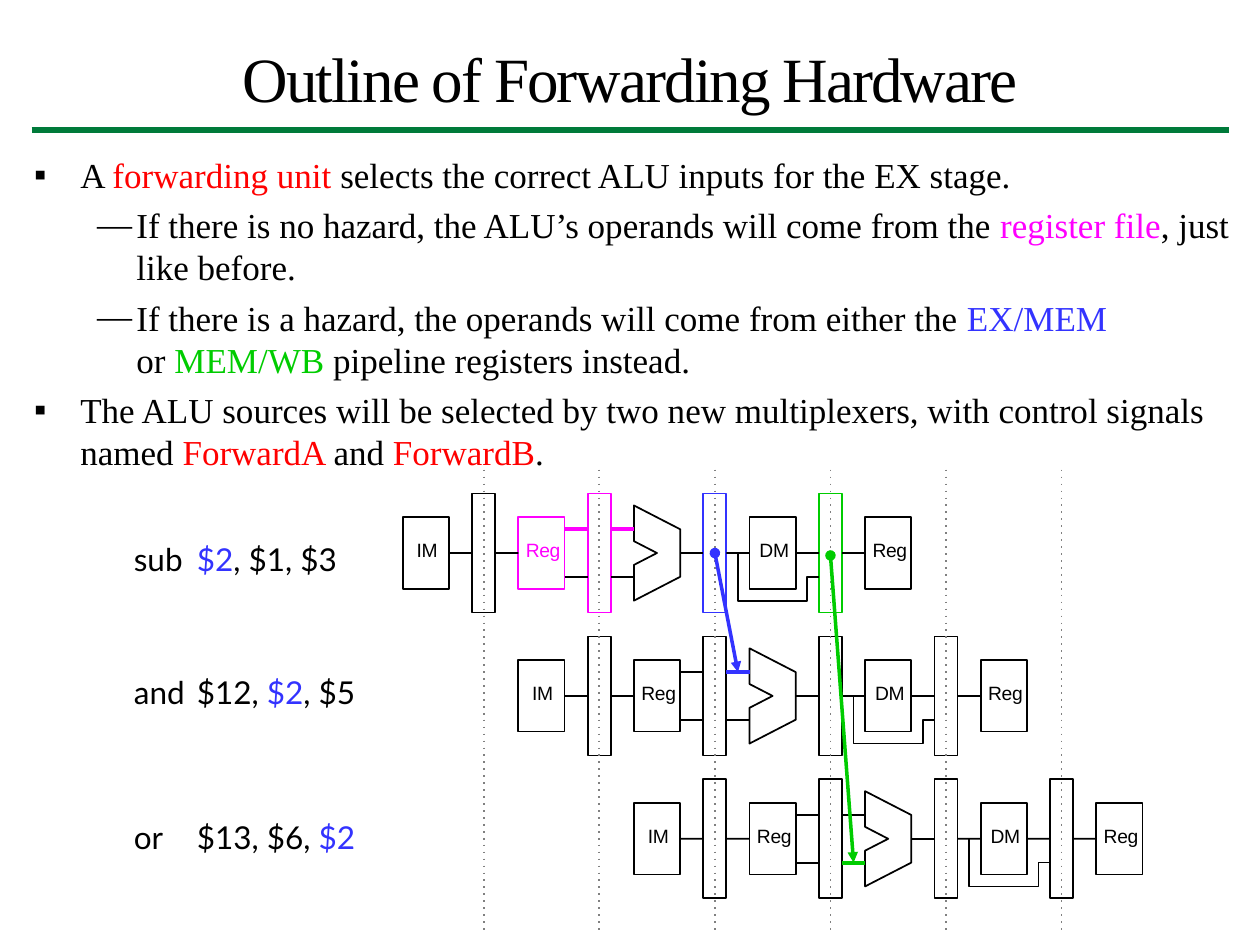
"""Build a slide on forwarding hardware in a pipelined processor."""
from lxml import etree
from pptx import Presentation
from pptx.dml.color import RGBColor
from pptx.enum.shapes import MSO_CONNECTOR, MSO_SHAPE
from pptx.enum.text import MSO_ANCHOR, PP_ALIGN
from pptx.oxml.ns import qn
from pptx.util import Cm, Pt

STRAIGHT = MSO_CONNECTOR.STRAIGHT
RECTANGLE = MSO_SHAPE.RECTANGLE
TOP = MSO_ANCHOR.TOP
LEFT, CENTER = PP_ALIGN.LEFT, PP_ALIGN.CENTER
LEFT_SIDE, RIGHT_SIDE = 1, 3

COLORS = {
    "black": "000000", "red": "FF0000", "magenta": "FF00FF", "blue": "3333FF",
    "green": "00CC00", "gray": "808080", "rule": "007A3A",
}
SERIF, SANS, CODE = "Times New Roman", "Arial", "Lato"

STEP_X, STEP_Y = 0.23 + 0.003, 0.24
ORIGIN_X, ORIGIN_Y = 8.12, 9.95
ROW_SHIFT_X, ROW_SHIFT_Y = 10, 12
THIN, THICK = 1, 2.25

STAGE_BOXES = [("IM", 0, 0.28), ("Reg", 10, 0.15), ("DM", 30, 0.2), ("Reg", 40, 0.15)]
REGISTER_COLUMNS = (6, 16, 26, 36)
ALU_OUTLINE = [(20, 1), (24, 3), (24, 7), (20, 9), (20, 6), (22, 5), (20, 4)]
MEMORY_BYPASS = [(29, 5), (29, 9), (35, 9), (35, 7), (36, 7)]
OPERAND_WIRES = [(14, 3), (14, 7), (18, 3), (18, 7)]

ROW_HIGHLIGHTS = [
    {"boxes": {10: "magenta"},
     "registers": {16: "magenta", 26: "blue", 36: "green"},
     "wires": {(14, 3): "magenta", (18, 3): "magenta"}},
    {"boxes": {}, "registers": {}, "wires": {(18, 3): "blue"}},
    {"boxes": {}, "registers": {}, "wires": {(18, 7): "green"}},
]

INSTRUCTIONS = [
    (10.82, [("sub\t", "black"), ("$2", "blue"), (", $1, $3", "black")]),
    (13.49, [("and\t$12, ", "black"), ("$2", "blue"), (", $5", "black")]),
    (16.43, [("or\t$13, $6, ", "black"), ("$2", "blue")]),
]

POINT = {"level": 0, "margin": 0.98, "hang": -0.93, "bullet": "▪", "before": 4.8}
DETAIL = {"level": 1, "margin": 2.11, "hang": -0.79, "bullet": "—", "before": 4.8}
CONTINUED = {"level": 0, "margin": 2.11, "hang": 0, "bullet": None, "before": 0}

EXPLANATION = [
    (POINT, [("A ", "black"), ("forwarding unit ", "red"),
             ("selects the correct ALU inputs for the EX stage.", "black")]),
    (DETAIL, [("If there is no hazard, the ALU’s operands will come from the ", "black"),
              ("register file", "magenta"), (", just like before.", "black")]),
    (DETAIL, [("If there is a hazard, the operands will come from either the ", "black"),
              ("EX/MEM", "blue")]),
    (CONTINUED, [("or ", "black"), ("MEM/WB ", "green"),
                 ("pipeline registers instead.", "black")]),
    (POINT, [("The ALU sources will be selected by two new multiplexers, "
              "with control signals named ", "black"),
             ("ForwardA ", "red"), ("and ", "black"), ("ForwardB", "red"),
             (".", "black")]),
]


def rgb(color):
    """Return the named colour."""
    return RGBColor.from_string(COLORS[color])


def grid_x(column):
    """Return the horizontal place of a datapath column."""
    return Cm(ORIGIN_X + column * STEP_X)


def grid_y(level):
    """Return the vertical place of a datapath level."""
    return Cm(ORIGIN_Y + level * STEP_Y)


def set_frame(frame, top=0, left=0):
    """Set the insets, wrapping and anchor of a text frame."""
    values = {"margin_left": Cm(left), "margin_right": 0, "margin_top": Cm(top),
              "margin_bottom": 0, "word_wrap": True, "vertical_anchor": TOP}
    for name, value in values.items():
        setattr(frame, name, value)


def write_runs(paragraph, pieces, font, size, spacing=0, align=LEFT):
    """Write coloured pieces of text into a paragraph."""
    paragraph.alignment = align
    for words, color in pieces:
        run = paragraph.add_run()
        run.text = words
        for name, value in {"name": font, "size": Pt(size)}.items():
            setattr(run.font, name, value)
        run.font.color.rgb = rgb(color)
        if spacing:
            run.font._element.set("spc", str(spacing))


def add_textbox(slide, left, top, width, height, inset_top, inset_left=0):
    """Add a text box and return its frame."""
    box = slide.shapes.add_textbox(Cm(left), Cm(top), Cm(width), Cm(height))
    set_frame(box.text_frame, inset_top, inset_left)
    return box.text_frame


def style_outline(shape, color, width=THIN):
    """Leave a shape unfilled, with a plain outline."""
    shape.shadow.inherit = False
    shape.fill.background()
    shape.line.color.rgb = rgb(color)
    shape.line.width = Pt(width)


def add_line(slide, start, end, color="black", width=THIN, ends=()):
    """Add a straight line, with optional dash and arrowhead elements."""
    line = slide.shapes.add_connector(STRAIGHT, *start, *end)
    line.line.color.rgb = rgb(color)
    line.line.width = Pt(width)
    properties = line._element.spPr
    for tag, attributes in ends:
        etree.SubElement(properties.find(qn("a:ln")), qn(tag), attributes)
    etree.SubElement(properties, qn("a:effectLst"))
    return line


def add_grid_line(slide, start, end, *style):
    """Add a line between two grid points."""
    (x1, y1), (x2, y2) = start, end
    return add_line(slide, (grid_x(x1), grid_y(y1)), (grid_x(x2), grid_y(y2)), *style)


def add_block(slide, column, level, width, height, color):
    """Add an outlined rectangle on the grid."""
    block = slide.shapes.add_shape(
        RECTANGLE, grid_x(column), grid_y(level),
        Cm(width * STEP_X), Cm(height * STEP_Y))
    style_outline(block, color)
    return block


def add_outline(slide, points, closed):
    """Add a freeform through grid points."""
    places = [(grid_x(x), grid_y(y)) for x, y in points]
    builder = slide.shapes.build_freeform(*places[0])
    builder.add_line_segments(places[1:], close=closed)
    style_outline(builder.convert_to_shape(), "black")


def add_pipeline(slide, row, highlights):
    """Add the datapath of one instruction."""
    dx, dy = row * ROW_SHIFT_X, row * ROW_SHIFT_Y
    blocks = {}
    for label, column, indent in STAGE_BOXES:
        color = highlights["boxes"].get(column, "black")
        stage = add_block(slide, column + dx, 2 + dy, 4, 6, color)
        set_frame(stage.text_frame, 0.42, indent)
        write_runs(stage.text_frame.paragraphs[0], [(label, color)], SANS, 11, -20)
        blocks[column] = (stage, column + 4)
    for column in REGISTER_COLUMNS:
        color = highlights["registers"].get(column, "black")
        blocks[column] = (add_block(slide, column + dx, dy, 2, 10, color), column + 2)
    for points, closed in ((ALU_OUTLINE, True), (MEMORY_BYPASS, False)):
        add_outline(slide, [(x + dx, y + dy) for x, y in points], closed)
    for x, y in OPERAND_WIRES:
        color = highlights["wires"].get((x, y))
        add_grid_line(slide, (x + dx, y + dy), (x + 2 + dx, y + dy),
                      color or "black", THICK if color else THIN)
    for source, target in ((0, 6), (6, 10), (26, 30), (30, 36), (36, 40)):
        source_block, exit_column = blocks[source]
        wire = add_grid_line(slide, (exit_column + dx, 5 + dy), (target + dx, 5 + dy))
        wire.begin_connect(source_block, RIGHT_SIDE)
        wire.end_connect(blocks[target][0], LEFT_SIDE)
    result = add_grid_line(slide, (24 + dx, 5 + dy), (26 + dx, 5 + dy))
    result.end_connect(blocks[26][0], LEFT_SIDE)


def set_tab_and_bullet(paragraph, margin, hang=0, bullet=None, tab=None):
    """Set the indent, bullet and tab stop of a paragraph."""
    properties = paragraph._p.get_or_add_pPr()
    properties.set("marL", str(Cm(margin)))
    properties.set("indent", str(Cm(hang)))
    if bullet:
        etree.SubElement(properties, qn("a:buFont"), typeface=SERIF)
        etree.SubElement(properties, qn("a:buChar"), char=bullet)
    if tab:
        stops = etree.SubElement(properties, qn("a:tabLst"))
        etree.SubElement(stops, qn("a:tab"), pos=str(Cm(tab)), algn="l")


def add_explanation(slide):
    """Add the bulleted explanation."""
    frame = add_textbox(slide, 0.64, 2.84, 24.43, 6.68, 0.25)
    for number, (kind, pieces) in enumerate(EXPLANATION):
        paragraph = frame.add_paragraph() if number else frame.paragraphs[0]
        set_tab_and_bullet(paragraph, kind["margin"], kind["hang"], kind["bullet"])
        values = {"level": kind["level"], "line_spacing": Pt(24),
                  "space_before": Pt(kind["before"] if number else 0)}
        for name, value in values.items():
            setattr(paragraph, name, value)
        write_runs(paragraph, pieces, SERIF, 20)


def main():
    """Build and save the slide."""
    deck = Presentation()
    deck.slide_width, deck.slide_height = Cm(25.4), Cm(19.05)
    slide = deck.slides.add_slide(deck.slide_layouts[6])
    title = add_textbox(slide, 0.64, 0.64, 24.13, 1.57, 0.15)
    write_runs(title.paragraphs[0], [("Outline of Forwarding Hardware", "black")],
               SERIF, 36, -110, CENTER)
    add_line(slide, (Cm(0.64), Cm(2.62)), (Cm(24.77), Cm(2.62)), "rule", 3)
    add_explanation(slide)
    for row, highlights in enumerate(ROW_HIGHLIGHTS):
        add_pipeline(slide, row, highlights)
    for column in range(7, 58, 10):
        add_grid_line(slide, (column, -2), (column, 37), "gray", THIN,
                      [("a:prstDash", {"val": "dot"})])
    arrow_ends = [("a:headEnd", {"type": "oval"}), ("a:tailEnd", {"type": "triangle"})]
    add_grid_line(slide, (27, 5), (29, 15), "blue", 2, arrow_ends)
    add_grid_line(slide, (37, 5.2), (39, 31), "green", 2, arrow_ends)
    for top, pieces in INSTRUCTIONS:
        paragraph = add_textbox(slide, 2.67, top, 4.85, 0.84, 0.07).paragraphs[0]
        set_tab_and_bullet(paragraph, 0.03, tab=1.65)
        write_runs(paragraph, pieces, CODE, 18)
    deck.save("out.pptx")


if __name__ == "__main__":
    main()
